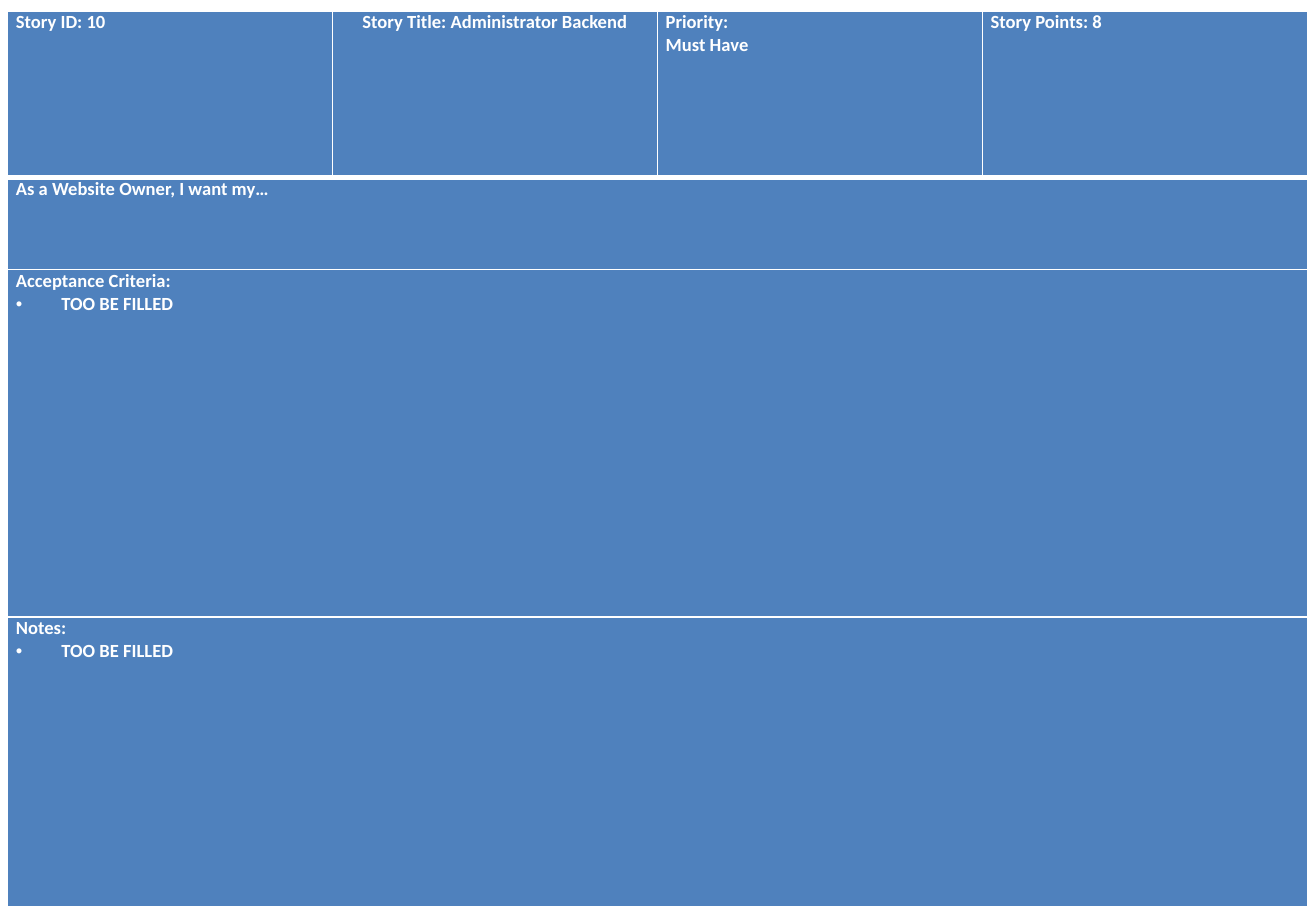
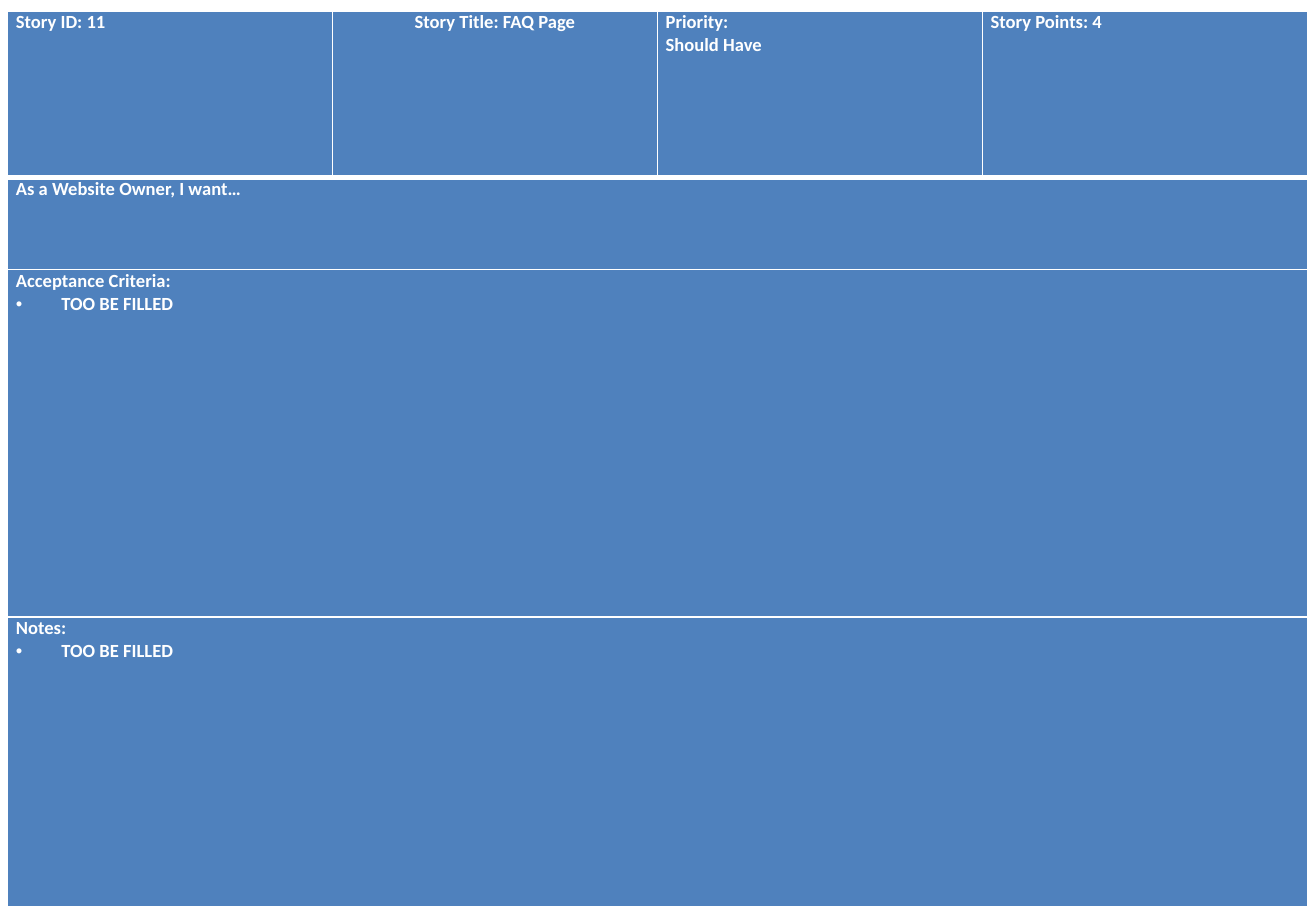
"""Build two user story cards, each one table on its own slide."""
from lxml import etree
from pptx import Presentation
from pptx.dml.color import RGBColor
from pptx.enum import text
from pptx.oxml import ns
from pptx.util import Pt

STORIES = [
    {"id": 10, "title": "Administrator Backend", "priority": "Must Have",
     "points": 8, "wish": "As a Website Owner, I want my…",
     "criteria": ["TOO BE FILLED"], "notes": ["TOO BE FILLED"]},
    {"id": 11, "title": "FAQ Page", "priority": "Should Have",
     "points": 4, "wish": "As a Website Owner, I want…",
     "criteria": ["TOO BE FILLED"], "notes": ["TOO BE FILLED"]},
]

BLUE = RGBColor(0x4F, 0x81, 0xBD)
WHITE = RGBColor(0xFF, 0xFF, 0xFF)
FONT, FONT_SIZE = "Calibri", Pt(11)
LEFT, TOP, WIDTH = Pt(4.5), Pt(6.5), Pt(770.4)
ROW_HEIGHTS = [Pt(98.6), Pt(54.7), Pt(206), Pt(171.6)]
COLUMN_COUNT = 4
SIDE_MARGIN = Pt(4.9)
BULLET_INDENT = Pt(27)
THIN, THICK = Pt(1), Pt(3)


def add_borders(cell, top, bottom):
    properties = cell._tc.get_or_add_tcPr()
    for side, width in (("L", THIN), ("R", THIN), ("T", top), ("B", bottom)):
        line = etree.SubElement(properties, ns.qn(f"a:ln{side}"), w=str(width))
        fill = etree.SubElement(line, ns.qn("a:solidFill"))
        etree.SubElement(fill, ns.qn("a:srgbClr"), val=str(WHITE))


def add_bullet(paragraph):
    properties = paragraph._p.get_or_add_pPr()
    properties.set("marL", str(BULLET_INDENT))
    properties.set("indent", str(-BULLET_INDENT))
    etree.SubElement(properties, ns.qn("a:buFont"), typeface="Arial")
    etree.SubElement(properties, ns.qn("a:buChar"), char="•")


def style_cell(cell, row_index):
    cell.margin_left = cell.margin_right = SIDE_MARGIN
    cell.margin_top = cell.margin_bottom = 0
    add_borders(cell, THICK if row_index == 1 else THIN,
                THICK if row_index == 0 else THIN)
    cell.fill.solid()
    cell.fill.fore_color.rgb = BLUE


def write_cell(cell, lines, bullets=()):
    cell.text_frame.text = "\n".join([*lines, *bullets])
    for index, paragraph in enumerate(cell.text_frame.paragraphs):
        if index >= len(lines):
            add_bullet(paragraph)
        for run in paragraph.runs:
            run.font.name, run.font.size = FONT, FONT_SIZE
            run.font.bold = True
            run.font.color.rgb = WHITE


def add_story(presentation, story):
    slide = presentation.slides.add_slide(presentation.slide_layouts[6])
    table = slide.shapes.add_table(len(ROW_HEIGHTS), COLUMN_COUNT, LEFT, TOP,
                                   WIDTH, sum(ROW_HEIGHTS)).table
    for column in table.columns:
        column.width = WIDTH // COLUMN_COUNT
    for row_index, height in enumerate(ROW_HEIGHTS):
        table.rows[row_index].height = height
        for cell in table.rows[row_index].cells:
            style_cell(cell, row_index)

    header = [
        [f"Story ID: {story['id']}"],
        [f"Story Title: {story['title']}"],
        ["Priority:", story["priority"]],
        [f"Story Points: {story['points']}"],
    ]
    for column_index, lines in enumerate(header):
        write_cell(table.cell(0, column_index), lines)
    title_paragraph = table.cell(0, 1).text_frame.paragraphs[0]
    title_paragraph.alignment = text.PP_ALIGN.CENTER

    sections = [
        (story["wish"], []),
        ("Acceptance Criteria:", story["criteria"]),
        ("Notes:", story["notes"]),
    ]
    for row_index, (heading, bullets) in enumerate(sections, start=1):
        cell = table.cell(row_index, 0)
        cell.merge(table.cell(row_index, COLUMN_COUNT - 1))
        write_cell(cell, [heading], bullets)


def main():
    presentation = Presentation()
    presentation.slide_width, presentation.slide_height = Pt(780), Pt(540)
    for story in STORIES:
        add_story(presentation, story)
    presentation.save("out.pptx")


if __name__ == "__main__":
    main()
